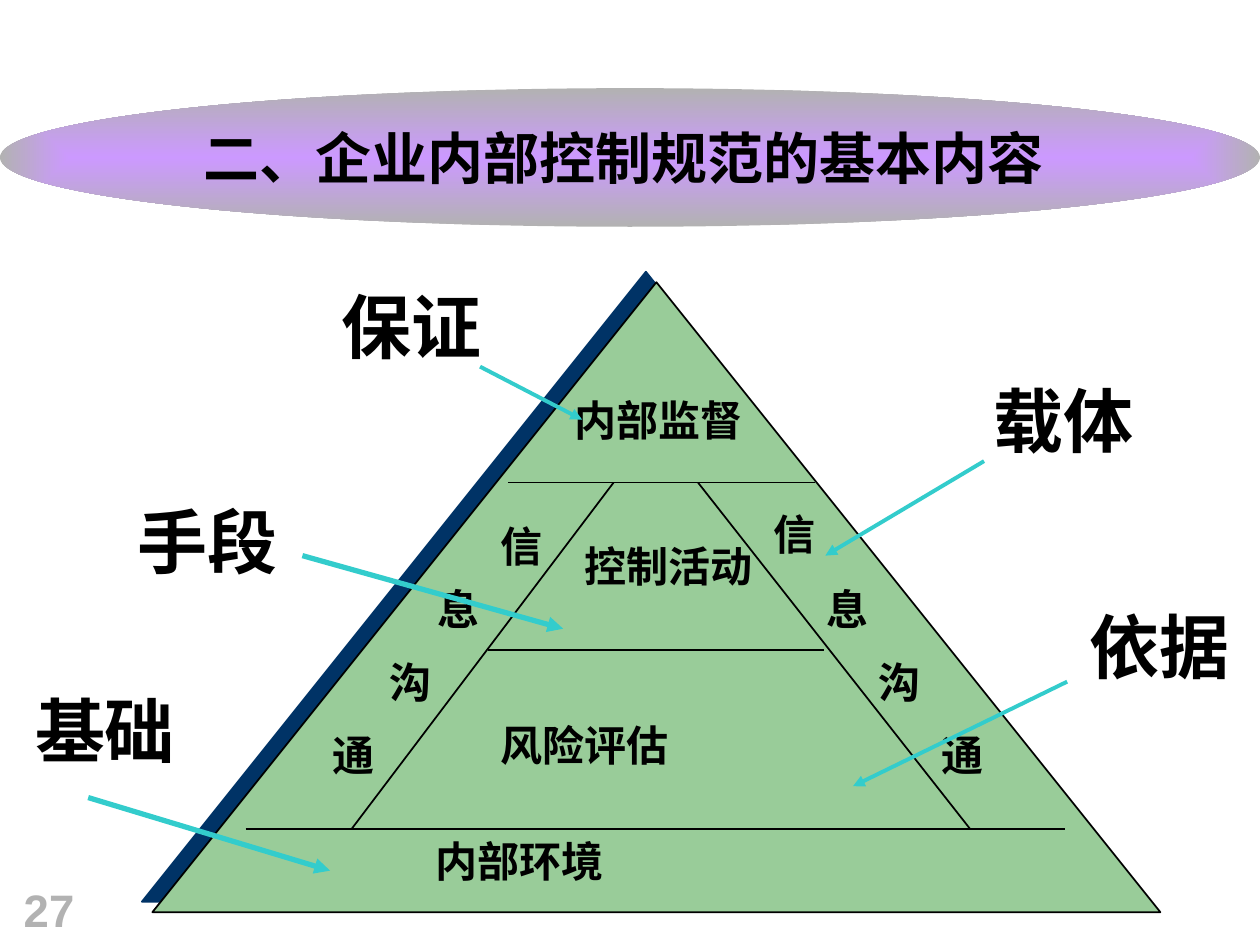
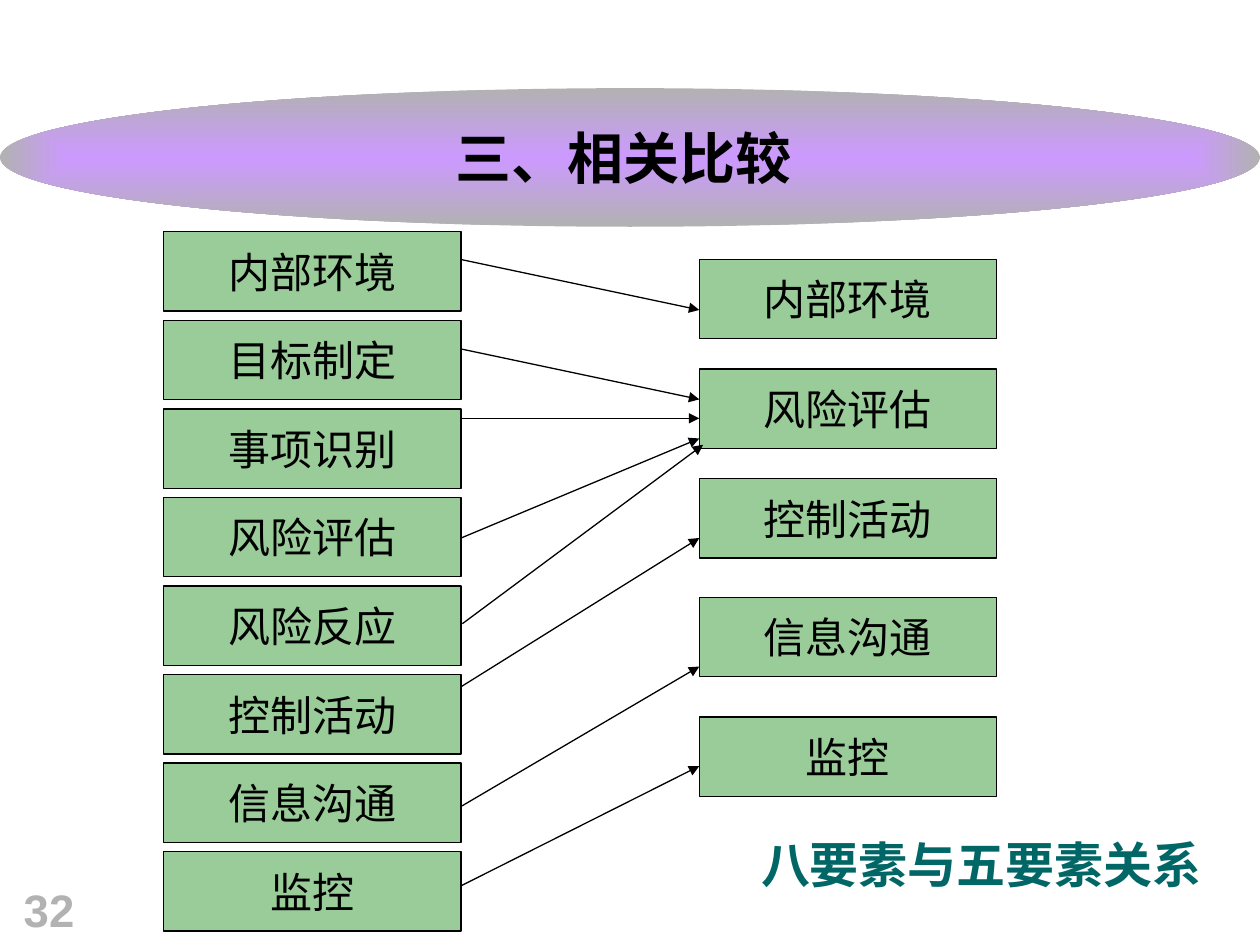
import pptx
import pptx.dml.color
import pptx.enum.shapes
import pptx.enum.text
import pptx.oxml
import pptx.oxml.ns
import pptx.util

Inches = pptx.util.Inches
Pt = pptx.util.Pt
RGBColor = pptx.dml.color.RGBColor
SHAPE = pptx.enum.shapes.MSO_SHAPE
ANCHOR = pptx.enum.text.MSO_ANCHOR
AUTO_SIZE = pptx.enum.text.MSO_AUTO_SIZE
ALIGN = pptx.enum.text.PP_ALIGN
qn = pptx.oxml.ns.qn

BLACK = RGBColor(0x00, 0x00, 0x00)
GREEN = RGBColor(0x99, 0xCC, 0x99)
TURQUOISE = RGBColor(0x33, 0xCC, 0xCC)
TEAL = RGBColor(0x00, 0x66, 0x66)
VIOLET = RGBColor(0xCC, 0x99, 0xFF)
GREY = RGBColor(0xB2, 0xB2, 0xB2)
NAVY = RGBColor(0x00, 0x33, 0x66)
SERIF = "Times New Roman"
SANS = "Arial"
TITLE_ONLY, BLANK = 5, 6

BOX_WIDTH, BOX_HEIGHT = 2.36, 0.63
LEFT_COLUMN, RIGHT_COLUMN = 1.3, 5.55


def parse_drawing(tag, attributes="", content=""):
    """Make a DrawingML element from its tag, attributes and inner XML."""
    namespace = pptx.oxml.ns.nsdecls("a")
    return pptx.oxml.parse_xml(f"<a:{tag} {namespace} {attributes}>{content}</a:{tag}>")


def add_span(para, text, size, font=SERIF, color=BLACK, bold=True):
    span = para.add_run()
    span.text = text
    span.font.size = Pt(size)
    span.font.name = font
    span.font.color.rgb = color
    span.font.bold = bold


def add_label(page, text, left, top, size):
    """Add a one-line bold label whose box is as wide as its characters."""
    width = 0.2 + len(text) * size / 72
    box = page.shapes.add_textbox(Inches(left), Inches(top), Inches(width),
                                  Inches(0.1 + size / 60))
    box.text_frame.word_wrap = False
    box.text_frame.auto_size = AUTO_SIZE.SHAPE_TO_FIT_TEXT
    add_span(box.text_frame.paragraphs[0], text, size)


def add_line(page, start, end, color=BLACK, width=1.0, arrow=False):
    line = page.shapes.add_connector(
        pptx.enum.shapes.MSO_CONNECTOR.STRAIGHT,
        *(Inches(value) for value in (*start, *end)))
    line.line.color.rgb = color
    line.line.width = Pt(width)
    properties = line._element.spPr
    if arrow:
        properties.find(qn("a:ln")).append(parse_drawing("tailEnd", 'type="triangle"'))
    properties.append(parse_drawing("effectLst"))


def add_filled_shape(page, kind, left, top, width, height, outline=None):
    shape = page.shapes.add_shape(kind, Inches(left), Inches(top),
                                  Inches(width), Inches(height))
    shape.shadow.inherit = False
    shape.fill.solid()
    shape.fill.fore_color.rgb = GREEN
    if outline:
        shape.line.color.rgb = BLACK
        shape.line.width = Pt(outline)
    else:
        shape.line.fill.background()
    return shape


def write_centred(shape, text, size, font, bold):
    frame = shape.text_frame
    frame.word_wrap = False
    frame.vertical_anchor = ANCHOR.MIDDLE
    para = frame.paragraphs[0]
    para.alignment = ALIGN.CENTER
    add_span(para, text, size, font, bold=bold)


def add_banner(page, text):
    banner = add_filled_shape(page, SHAPE.OVAL, 0, 0.7, 10, 1.1)
    banner.fill.gradient()
    for stop, color in zip(banner.fill.gradient_stops, (VIOLET, GREY)):
        stop.color.rgb = color
    gradient = banner._element.spPr.find(qn("a:gradFill"))
    gradient.replace(
        gradient.find(qn("a:lin")),
        parse_drawing("path", 'path="rect"',
                      '<a:fillToRect l="50000" t="50000" r="50000" b="50000"/>'))
    write_centred(banner, text, 32, SERIF, True)


def add_page_number(page, number):
    box = page.shapes.add_textbox(Inches(0.09), Inches(6.94), Inches(0.64), Inches(0.54))
    box.text_frame.word_wrap = True
    box.text_frame.vertical_anchor = ANCHOR.BOTTOM
    add_span(box.text_frame.paragraphs[0], str(number), 26, SANS, GREY)


def add_pyramid(page):
    pyramid = add_filled_shape(page, SHAPE.ISOSCELES_TRIANGLE, 1.21, 2.24, 8, 5, outline=1)
    pyramid._element.spPr.find(qn("a:effectLst")).append(
        parse_drawing("outerShdw",
                      f'dist="{Pt(8.5)}" dir="{225 * 60000}" algn="ctr" rotWithShape="0"',
                      f'<a:srgbClr val="{NAVY}"/>'))
    dividers = [
        ((4.03, 3.83), (6.47, 3.83)),
        ((1.95, 6.58), (8.45, 6.58)),
        ((4.87, 3.83), (2.79, 6.58)),
        ((5.54, 3.83), (7.7, 6.58)),
        ((3.87, 5.16), (6.54, 5.16)),
    ]
    for start, end in dividers:
        add_line(page, start, end)


def build_pyramid_page(deck):
    page = deck.slides.add_slide(deck.slide_layouts[BLANK])
    add_pyramid(page)

    layers = [
        ("内部监督", 4.46, 3.08),
        ("控制活动", 4.54, 4.24),
        ("风险评估", 3.87, 5.66),
        ("内部环境", 3.36, 6.58),
    ]
    for text, left, top in layers:
        add_label(page, text, left, top, 24)

    left_side = [(3.87, 4.08), (3.37, 4.58), (2.99, 5.16), (2.54, 5.74)]
    right_side = [(6.04, 3.99), (6.46, 4.58), (6.87, 5.16), (7.37, 5.74)]
    for side in (left_side, right_side):
        for character, (left, top) in zip("信息沟通", side):
            add_label(page, character, left, top, 24)

    # Role, its label position, then the arrow's start, end and width
    roles = [
        ("保证", (2.61, 2.2), (3.81, 2.91), (4.62, 3.33), 2.25),
        ("载体", (7.79, 2.95), (7.81, 3.66), (6.55, 4.41), 2.25),
        ("手段", (0.99, 3.91), (2.4, 4.41), (4.47, 4.99), 3),
        ("依据", (8.55, 4.74), (8.47, 5.41), (6.77, 6.24), 2.25),
        ("基础", (0.18, 5.41), (0.7, 6.33), (2.62, 6.91), 3),
    ]
    for text, (left, top), start, end, width in roles:
        add_line(page, start, end, TURQUOISE, width, arrow=True)
        add_label(page, text, left, top, 40)

    add_banner(page, "二、企业内部控制规范的基本内容 ")
    add_page_number(page, 27)


def add_caption_title(page, text):
    title = page.shapes.title
    title.left, title.top = Inches(5.94), Inches(6.51)
    title.width, title.height = Inches(3.79), Inches(0.76)
    frame = title.text_frame
    frame.auto_size = AUTO_SIZE.NONE
    frame.vertical_anchor = ANCHOR.MIDDLE
    para = frame.paragraphs[0]
    para.alignment = ALIGN.LEFT
    para.line_spacing = 0.9
    add_span(para, text, 28, SANS, TEAL)


def add_element_box(page, text, left, top):
    box = add_filled_shape(page, SHAPE.RECTANGLE, left, top,
                           BOX_WIDTH, BOX_HEIGHT, outline=0.75)
    write_centred(box, text, 24, SANS, False)


def build_comparison_page(deck):
    page = deck.slides.add_slide(deck.slide_layouts[TITLE_ONLY])
    add_caption_title(page, "八要素与五要素关系")

    eight_elements = ["内部环境", "目标制定", "事项识别", "风险评估",
                      "风险反应", "控制活动", "信息沟通", "监控"]
    first_top, last_top = 1.84, 6.76
    step = (last_top - first_top) / (len(eight_elements) - 1)
    for index, text in enumerate(eight_elements):
        add_element_box(page, text, LEFT_COLUMN, first_top + index * step)

    five_elements = [("内部环境", 2.06), ("风险评估", 2.93), ("控制活动", 3.8),
                     ("信息沟通", 4.74), ("监控", 5.69)]
    for text, top in five_elements:
        add_element_box(page, text, RIGHT_COLUMN, top)

    # Heights at which each arrow leaves the left and meets the right column
    arrow_heights = [(2.06, 2.46), (2.77, 3.17), (3.32, 3.32), (4.27, 3.48),
                     (5.45, 4.27), (6.4, 5.29), (7.03, 6.08)]
    for start, end in arrow_heights:
        add_line(page, (LEFT_COLUMN + BOX_WIDTH, start), (RIGHT_COLUMN, end),
                 width=0.75, arrow=True)
    add_line(page, (3.67, 4.95), (5.58, 3.53), width=0.75, arrow=True)

    add_banner(page, "三、相关比较 ")
    add_page_number(page, 32)


def main():
    deck = pptx.Presentation()
    deck.slide_width, deck.slide_height = Inches(10), Inches(7.5)
    build_pyramid_page(deck)
    build_comparison_page(deck)
    deck.save("out.pptx")


if __name__ == "__main__":
    main()
